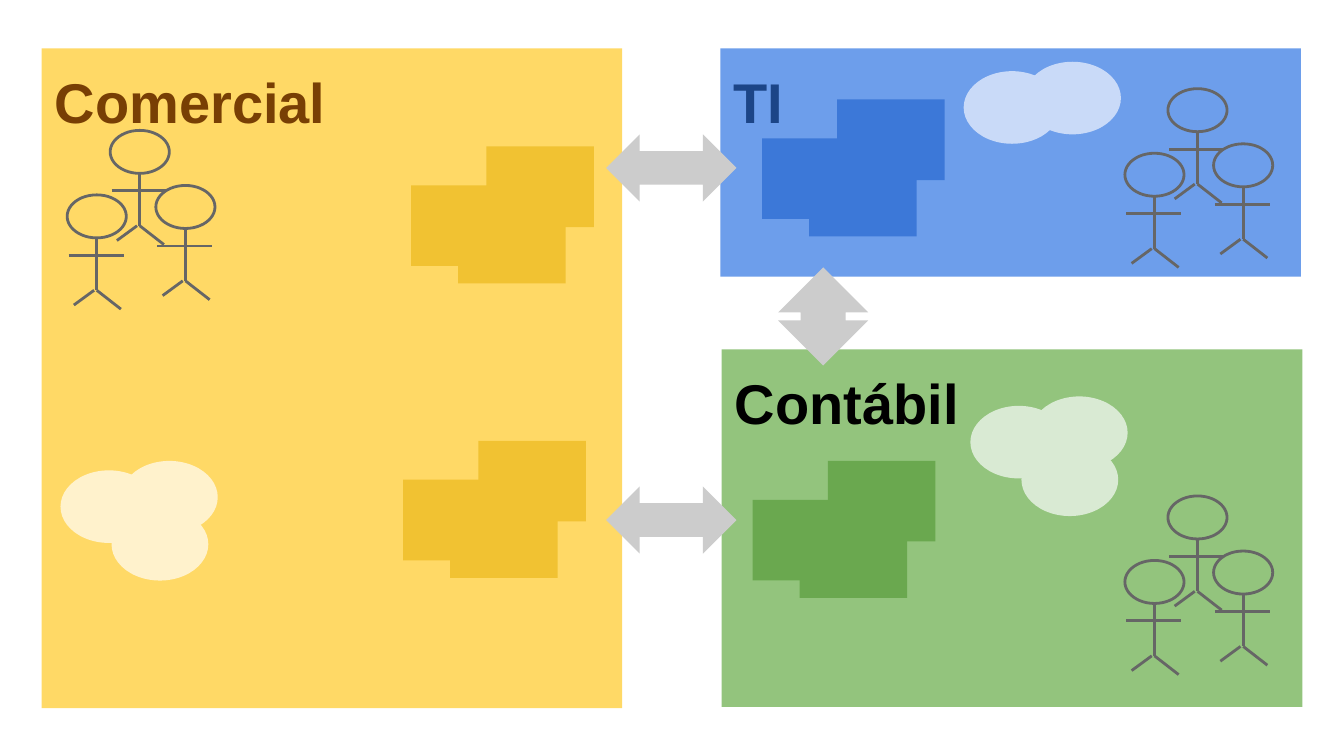
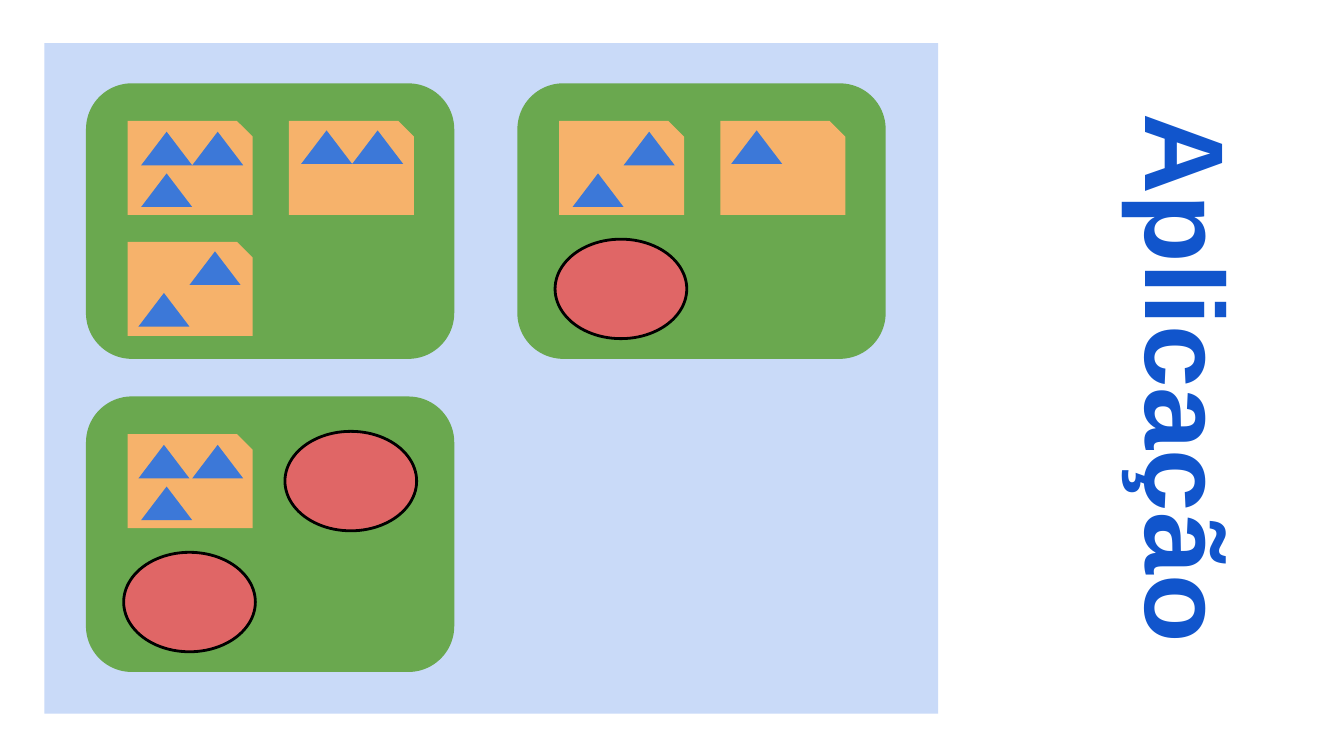
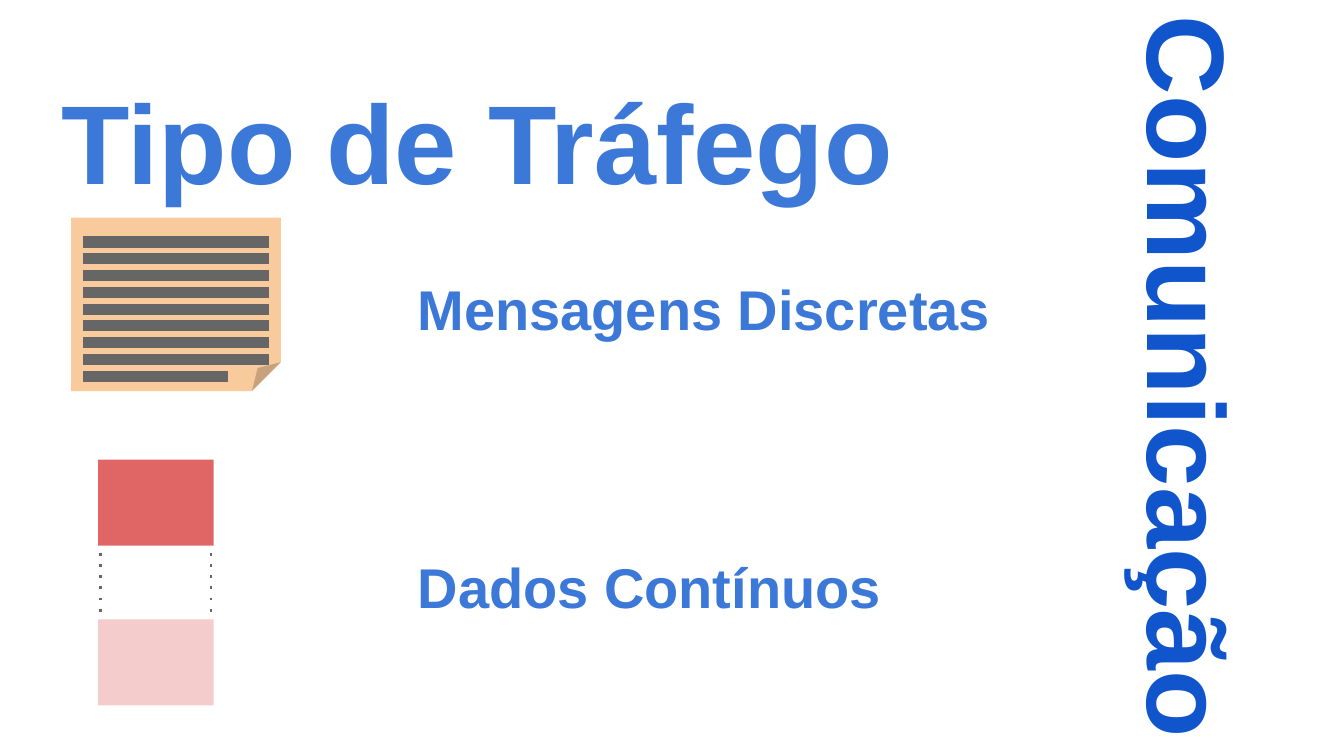
from pptx import Presentation
from pptx.dml.color import RGBColor
from pptx.enum.shapes import MSO_CONNECTOR as Conn, MSO_SHAPE as Shp
from pptx.enum.text import MSO_ANCHOR as Anchor, PP_ALIGN as Align
from pptx.oxml.ns import qn
from pptx.util import Inches, Pt
from lxml.etree import SubElement

FONT = "Arial"
HUE = {
    "sun": "FFD966", "gold": "F1C232", "cream": "FFF2CC", "brown": "783F04",
    "sky": "6D9EEB", "blue": "3C78D8", "pale": "C9DAF8", "navy": "1C4587",
    "leaf": "93C47D", "green": "6AA84F", "mint": "D9EAD3", "black": "000000",
    "gray": "666666", "silver": "CCCCCC", "royal": "1155CC",
    "orange": "F6B26B", "peach": "F9CB9C", "red": "E06666", "pink": "F4CCCC",
}


def draw(home, kind, box, fill=None, line=None, width=1.5, dash=None):
    """Add a shape (box: left, top, width, height) or, with no kind, a line (box: ends)."""
    spots = [Inches(v) for v in box]
    if kind is None:
        item = home.add_connector(Conn.STRAIGHT, *spots)
    else:
        item = home.add_shape(kind, *spots)
        if fill:
            item.fill.solid()
            item.fill.fore_color.rgb = RGBColor.from_string(HUE[fill])
        else:
            item.fill.background()
    if line:
        item.line.color.rgb = RGBColor.from_string(HUE[line])
        item.line.width = Pt(width)
    else:
        item.line.fill.background()
    props = item._element.spPr
    if dash:
        SubElement(props.find(qn("a:ln")), qn("a:prstDash")).set("val", dash)
    SubElement(props, qn("a:effectLst"))
    return item


def write(item, text, size=30, color="blue", align=Align.LEFT, turn=0):
    item.rotation = turn
    frame = item.text_frame
    frame.word_wrap = True
    frame.vertical_anchor = Anchor.TOP
    frame.margin_left = frame.margin_right = frame.margin_bottom = Inches(0.1)
    frame.margin_top = Inches(0.1) + Pt(size / 10)
    para = frame.paragraphs[0]
    para.alignment = align
    run = para.add_run()
    run.text = text
    run.font.name, run.font.size, run.font.bold = FONT, Pt(size), True
    run.font.color.rgb = RGBColor.from_string(HUE[color])


deck = Presentation()
deck.slide_width, deck.slide_height = Inches(10), Inches(5.625)
areas, app, comm = [deck.slides.add_slide(deck.slide_layouts[6]).shapes for _ in range(3)]

# Vertical titles
for home, text, size, box in [
    (app, "Aplicação", 60, (5.97, 1.74, 4.99, 2.15)),
    (comm, "Comunicação", 59, (5.64, 1.73, 5.65, 2.15)),
]:
    title = home.add_textbox(*[Inches(v) for v in box])
    write(title, text, size=size, color="royal", align=Align.CENTER, turn=90)

# Slide 1: department panels
for text, box, fill, color in [
    ("Comercial", (0.31, 0.36, 4.32, 4.91), "sun", "brown"),
    ("TI", (5.36, 0.36, 4.32, 1.7), "sky", "navy"),
    ("Contábil", (5.37, 2.6, 4.32, 2.66), "leaf", "black"),
]:
    write(draw(areas, Shp.RECTANGLE, box, fill), text, color=color)

# Teams of three stick people
LIMBS = [
    (0.22, 0.32, 0.22, 0.71), (0.22, 0.71, 0.4, 0.85),
    (0.2, 0.71, 0.05, 0.82), (0.01, 0.45, 0.42, 0.45),
]
for left, top in [(0.82, 0.97), (8.69, 0.66), (8.69, 3.69)]:
    for dx, dy in [(0, 0), (0.34, 0.41), (-0.32, 0.48)]:
        x, y = left + dx, top + dy
        man = areas.add_group_shape().shapes
        draw(man, Shp.OVAL, (x, y, 0.44, 0.32), line="gray")
        for x1, y1, x2, y2 in LIMBS:
            draw(man, None, (x + x1, y + y1, x + x2, y + y2), line="gray")

# Clusters of blocks and clouds
BLOCK = Shp.RECTANGLE, 0.8, 0.6, [(0, 0), (-0.56, 0.29), (-0.21, 0.42)]
CLOUD = Shp.OVAL, 0.72, 0.54, [(0, 0), (-0.45, 0.07), (-0.07, 0.35)]
for (kind, w, h, steps), left, top, fill, count in [
    (BLOCK, 3.62, 1.09, "gold", 3), (BLOCK, 3.56, 3.28, "gold", 3),
    (BLOCK, 6.23, 0.74, "blue", 3), (BLOCK, 6.16, 3.43, "green", 3),
    (CLOUD, 0.9, 3.43, "cream", 3), (CLOUD, 7.67, 2.95, "mint", 3),
    (CLOUD, 7.62, 0.46, "pale", 2),
]:
    for dx, dy in steps[:count]:
        draw(areas, kind, (left + dx, top + dy, w, h), fill)

# Arrows between departments
for box, turn in [
    ((4.51, 1, 0.97, 0.5), 0), ((4.51, 3.62, 0.97, 0.5), 0),
    ((5.76, 2.02, 0.73, 0.67), 90),
]:
    draw(areas, Shp.LEFT_RIGHT_ARROW, box, "silver").rotation = turn

# Slide 2: modules on a grid; a list places triangles on a card, None is a disc
draw(app, Shp.RECTANGLE, (0.33, 0.32, 6.65, 4.99), "pale")
A, B, C = (0.1, 0.08), (0.48, 0.08), (0.1, 0.39)
for col, row, cells in [
    (0, 0, {(0, 0): [A, B, C], (1, 0): [(0.09, 0.07), (0.47, 0.07)],
            (0, 1): [(0.46, 0.07), (0.08, 0.38)]}),
    (1, 0, {(0, 0): [B, C], (1, 0): [(0.08, 0.07)], (0, 1): None}),
    (0, 1, {(0, 0): [(0.08, 0.08), B, C], (1, 0): None, (0, 1): None}),
]:
    left, top = 0.64 + 3.21 * col, 0.62 + 2.33 * row
    draw(app, Shp.ROUNDED_RECTANGLE, (left, top, 2.74, 2.05), "green")
    for (i, j), marks in cells.items():
        x, y = left + 0.31 + 1.2 * i, top + 0.28 + 0.9 * j
        if marks is None:
            draw(app, Shp.OVAL, (x - 0.03, y - 0.02, 0.98, 0.74), "red", "black")
            continue
        draw(app, Shp.SNIP_1_RECTANGLE, (x, y, 0.93, 0.7), "orange")
        for dx, dy in marks:
            draw(app, Shp.ISOSCELES_TRIANGLE, (x + dx, y + dy, 0.38, 0.25), "blue")

# Slide 3: headings
for text, size, box in [
    ("Tipo de Tráfego", 60, (0.36, 0.36, 7.55, 0.73)),
    ("Mensagens Discretas", 30, (3.01, 1.9, 5.83, 0.73)),
    ("Dados Contínuos", 30, (3.01, 3.97, 5.83, 0.73)),
]:
    write(comm.add_textbox(*[Inches(v) for v in box]), text, size=size)

# Written note, with a short last line
draw(comm, Shp.FOLDED_CORNER, (0.53, 1.62, 1.56, 1.29), "peach")
for n in range(9):
    y = 1.8 + 0.125 * n
    draw(comm, None, (0.62, y, 1.7 if n == 8 else 2, y), line="gray", width=6)

# Data stream
for x in (0.75, 1.57):
    draw(comm, None, (x, 4.03, x, 4.64), line="gray", dash="dot")
for y, fill in [(4.61, "pink"), (3.42, "red")]:
    draw(comm, Shp.RECTANGLE, (0.73, y, 0.86, 0.64), fill)

deck.save("out.pptx")
